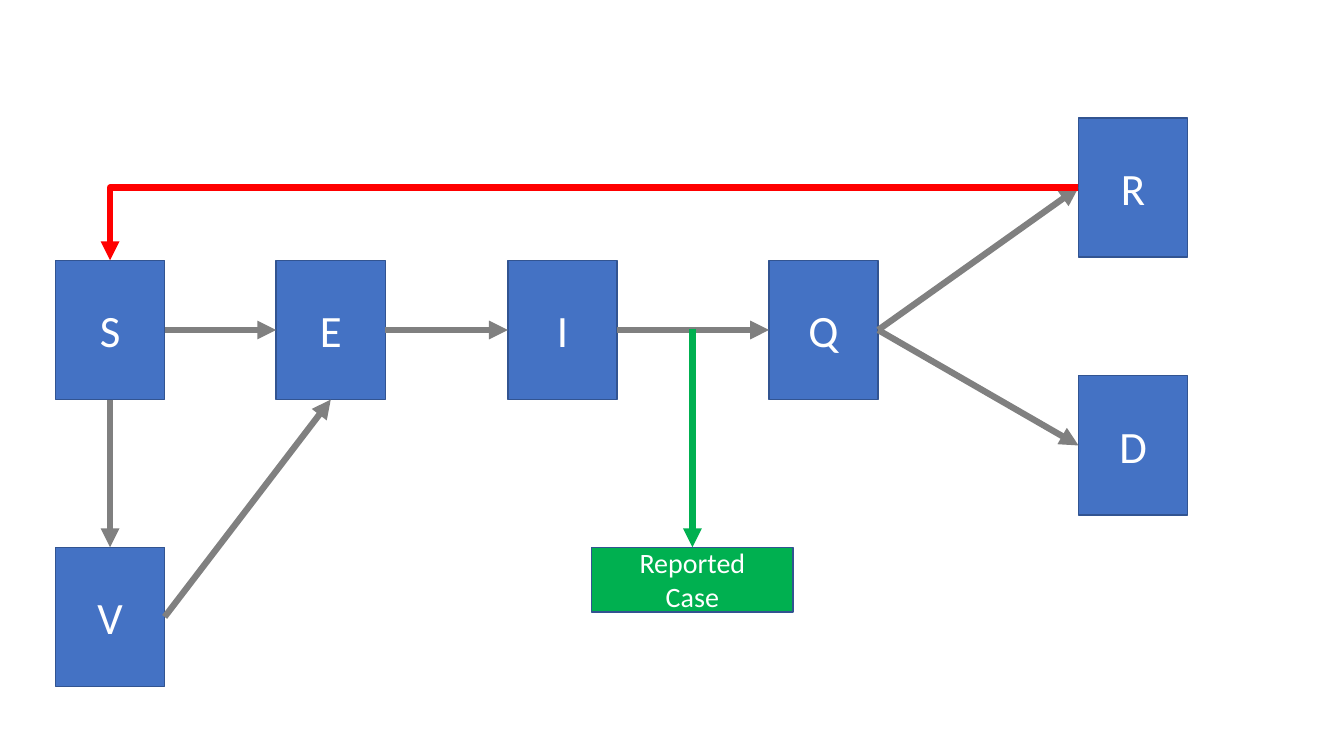
from lxml.etree import SubElement
from pptx import Presentation
from pptx.dml.color import RGBColor
from pptx.enum.shapes import MSO_CONNECTOR as Link, MSO_SHAPE as Form
from pptx.enum.text import MSO_ANCHOR as Anchor, PP_ALIGN as Align
from pptx.oxml.ns import qn
from pptx.util import Cm, Pt

BLUE = RGBColor(0x44, 0x72, 0xC4)
NAVY = RGBColor(0x32, 0x54, 0x91)
GREEN = RGBColor(0x00, 0xB0, 0x50)
GRAY = RGBColor(0x80, 0x80, 0x80)
RED = RGBColor(0xFF, 0x00, 0x00)
WHITE = RGBColor(0xFF, 0xFF, 0xFF)

WIDE, HIGH = 2.75, 3.51
ROW = 6.56
BASE = 13.79
TOP, LEFT, BOTTOM, RIGHT = range(4)

deck = Presentation()
deck.slide_width, deck.slide_height = Cm(33.87), Cm(19.05)
slide = deck.slides.add_slide(deck.slide_layouts[6])


def add_box(lines, x, y, wide, high, fill, size):
    box = slide.shapes.add_shape(Form.RECTANGLE, Cm(x), Cm(y), Cm(wide), Cm(high))
    box.shadow.inherit = False
    box.fill.solid()
    box.fill.fore_color.rgb = fill
    box.line.color.rgb = NAVY
    box.line.width = Pt(1)
    frame = box.text_frame
    frame.word_wrap = True
    frame.vertical_anchor = Anchor.MIDDLE
    for i, line in enumerate(lines):
        para = frame.add_paragraph() if i else frame.paragraphs[0]
        para.alignment = Align.CENTER
        run = para.add_run()
        run.text = line
        run.font.name = "Calibri"
        run.font.size = Pt(size)
        run.font.color.rgb = WHITE
    return box


def add_arrow(kind, color, end, side, start=None, exit=None, point=(0, 0)):
    """Point an arrow at a side of a box, from another box or a free point."""
    x, y = point
    arrow = slide.shapes.add_connector(kind, Cm(x), Cm(y), Cm(x), Cm(y))
    if start is not None:
        arrow.begin_connect(start, exit)
    arrow.end_connect(end, side)
    arrow.line.color.rgb = color
    arrow.line.width = Pt(4.5)
    SubElement(arrow.line._get_or_add_ln(), qn("a:tailEnd"), type="triangle")
    SubElement(arrow._element.spPr, qn("a:effectLst"))
    return arrow


# Stages of the epidemic model
stages = {}
for name, x, y in [
    ("S", 1.4, ROW), ("V", 1.4, BASE), ("E", 6.96, ROW), ("I", 12.8, ROW),
    ("Q", 19.38, ROW), ("R", 27.18, 2.97), ("D", 27.18, 9.47),
]:
    stages[name] = add_box([name], x, y, WIDE, HIGH, BLUE, 32)

# Moves between stages
for start, exit, end, side in [
    ("S", RIGHT, "E", LEFT), ("E", RIGHT, "I", LEFT), ("I", RIGHT, "Q", LEFT),
    ("S", BOTTOM, "V", TOP), ("V", RIGHT, "E", BOTTOM),
    ("Q", RIGHT, "R", LEFT), ("Q", RIGHT, "D", LEFT),
]:
    add_arrow(Link.STRAIGHT, GRAY, stages[end], side, stages[start], exit)

# Reported cases branch off between I and Q
case = add_box(["Reported", "Case"], 14.91, BASE, 5.08, 1.63, GREEN, 20)
add_arrow(Link.STRAIGHT, GREEN, case, TOP, point=(17.45, 8.28))

# Return from R to S, with a single bend
back = add_arrow(Link.ELBOW, RED, stages["S"], TOP, stages["R"], LEFT)
back._element.spPr.find(qn("a:prstGeom")).set("prst", "bentConnector2")

deck.save("out.pptx")
